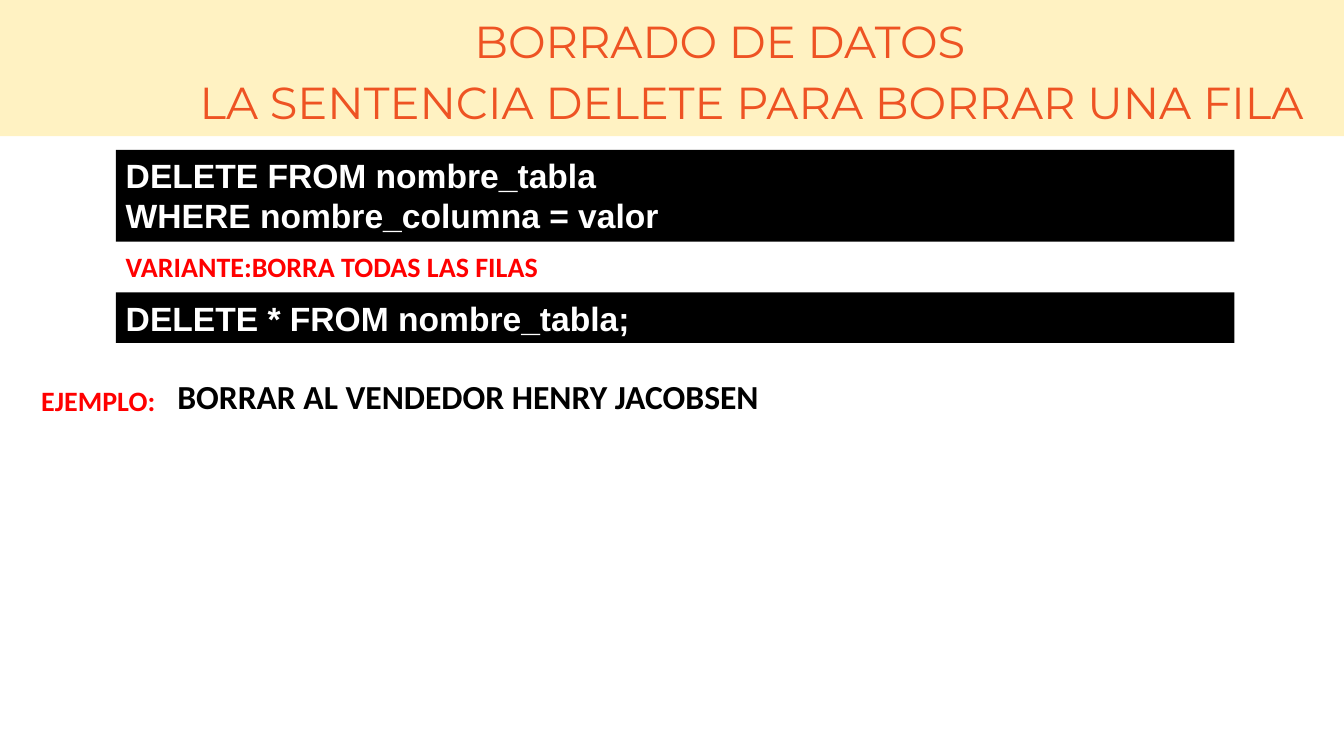
from lxml import etree
from pptx import Presentation
from pptx import util as u
from pptx.dml.color import RGBColor
from pptx.enum import shapes, text
from pptx.oxml.ns import qn

GOLD = RGBColor(0xFF, 0xCC, 0x00)
ORANGE = RGBColor(0xEE, 0x53, 0x23)
RED = RGBColor(0xFF, 0x00, 0x00)
BLACK = RGBColor(0x00, 0x00, 0x00)
WHITE = RGBColor(0xFF, 0xFF, 0xFF)

TITLE = {"name": "Montserrat", "size": u.Pt(32)}
CODE = {"name": "Arial", "size": u.Pt(24), "bold": True}
LABEL = {"name": "Calibri", "size": u.Pt(20), "bold": True}
TASK = {"name": "Calibri", "size": u.Pt(24), "bold": True}

CODE_LEFT = 2.92
CODE_WIDTH = 28.19


def write(shape, wording, style, color, align=text.PP_ALIGN.LEFT, wrap=True):
    """Fill a shape with one paragraph; a vertical tab in the wording breaks the line."""
    frame = shape.text_frame
    frame.text = wording
    frame.word_wrap = wrap
    frame.auto_size = text.MSO_AUTO_SIZE.SHAPE_TO_FIT_TEXT
    paragraph = frame.paragraphs[0]
    paragraph.alignment = align
    for run in paragraph.runs:
        for attribute, value in style.items():
            setattr(run.font, attribute, value)
        run.font.color.rgb = color
    return paragraph


def add_block(slide, left, top, width, height, color):
    block = slide.shapes.add_shape(
        shapes.MSO_SHAPE.RECTANGLE, u.Cm(left), u.Cm(top), u.Cm(width), u.Cm(height))
    block.shadow.inherit = False
    block.fill.solid()
    block.fill.fore_color.rgb = color
    block.line.fill.background()
    return block


def add_band(slide):
    band = add_block(slide, 0, 0, 33.87, 3.43, GOLD)
    tint = band.fill._xPr.find(f".//{qn('a:srgbClr')}")
    etree.SubElement(tint, qn("a:alpha"), val="24000")


def add_text(slide, left, top, width, height, *wording, **layout):
    box = slide.shapes.add_textbox(u.Cm(left), u.Cm(top), u.Cm(width), u.Cm(height))
    return write(box, *wording, **layout)


def add_title_line(slide, left, top, wording):
    line = add_text(slide, left, top, 30.45, 1.55, wording, TITLE, ORANGE,
                    align=text.PP_ALIGN.CENTER)
    line.line_spacing = u.Pt(36)


def add_code(slide, top, height, wording):
    block = add_block(slide, CODE_LEFT, top, CODE_WIDTH, height, BLACK)
    block.text_frame.vertical_anchor = text.MSO_ANCHOR.TOP
    write(block, wording, CODE, WHITE)


def add_label(slide, left, top, width, wording):
    add_text(slide, left, top, width, 1.12, wording, LABEL, RED, wrap=False)


def main():
    deck = Presentation()
    deck.slide_width, deck.slide_height = u.Cm(33.87), u.Cm(19.05)
    slide = deck.slides.add_slide(deck.slide_layouts[6])

    add_band(slide)
    add_title_line(slide, 2.92, 0.3, "BORRADO DE DATOS")
    add_title_line(slide, 3.73, 1.85, "LA SENTENCIA DELETE PARA BORRAR UNA FILA")

    add_code(slide, 3.78, 2.31, "DELETE FROM nombre_tabla\vWHERE nombre_columna = valor")
    add_code(slide, 7.37, 1.27, "DELETE * FROM nombre_tabla;")
    add_label(slide, CODE_LEFT, 6.17, 11, "VARIANTE:BORRA TODAS LAS FILAS")

    add_label(slide, 0.79, 9.53, 3.4, "EJEMPLO:")
    add_text(slide, 4.22, 9.35, 28.91, 1.27, "BORRAR AL VENDEDOR HENRY JACOBSEN", TASK, BLACK)

    deck.save("out.pptx")


if __name__ == "__main__":
    main()
